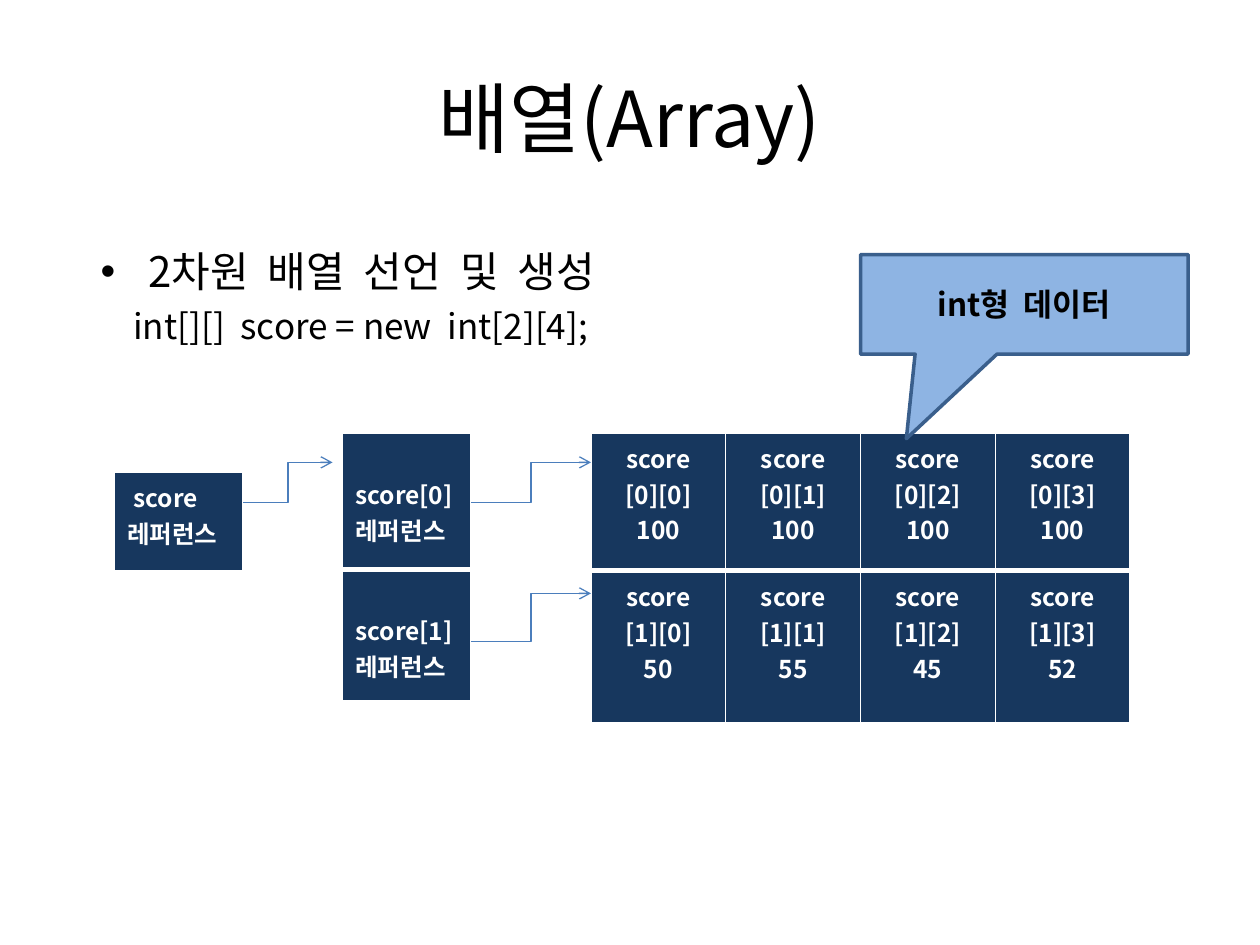
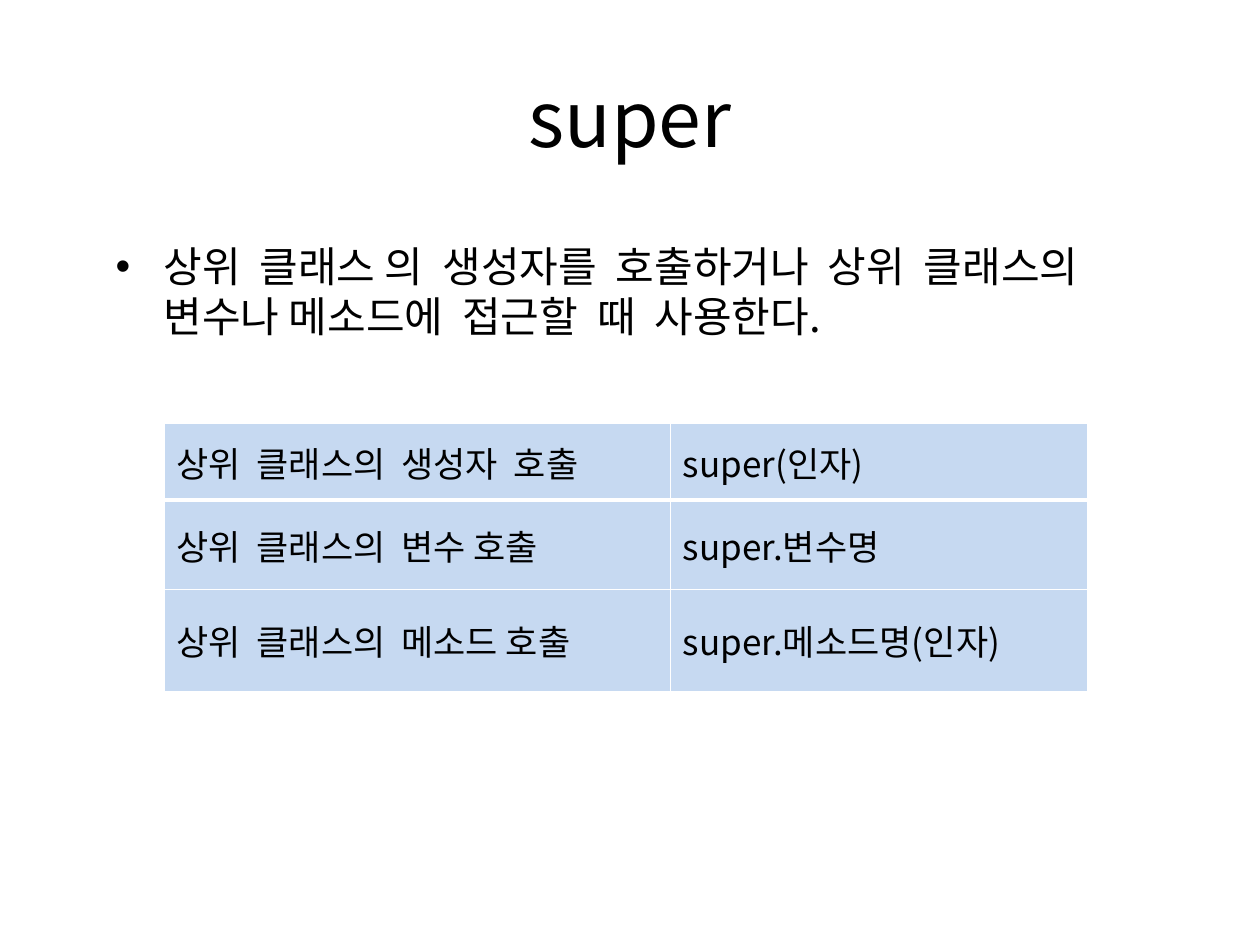
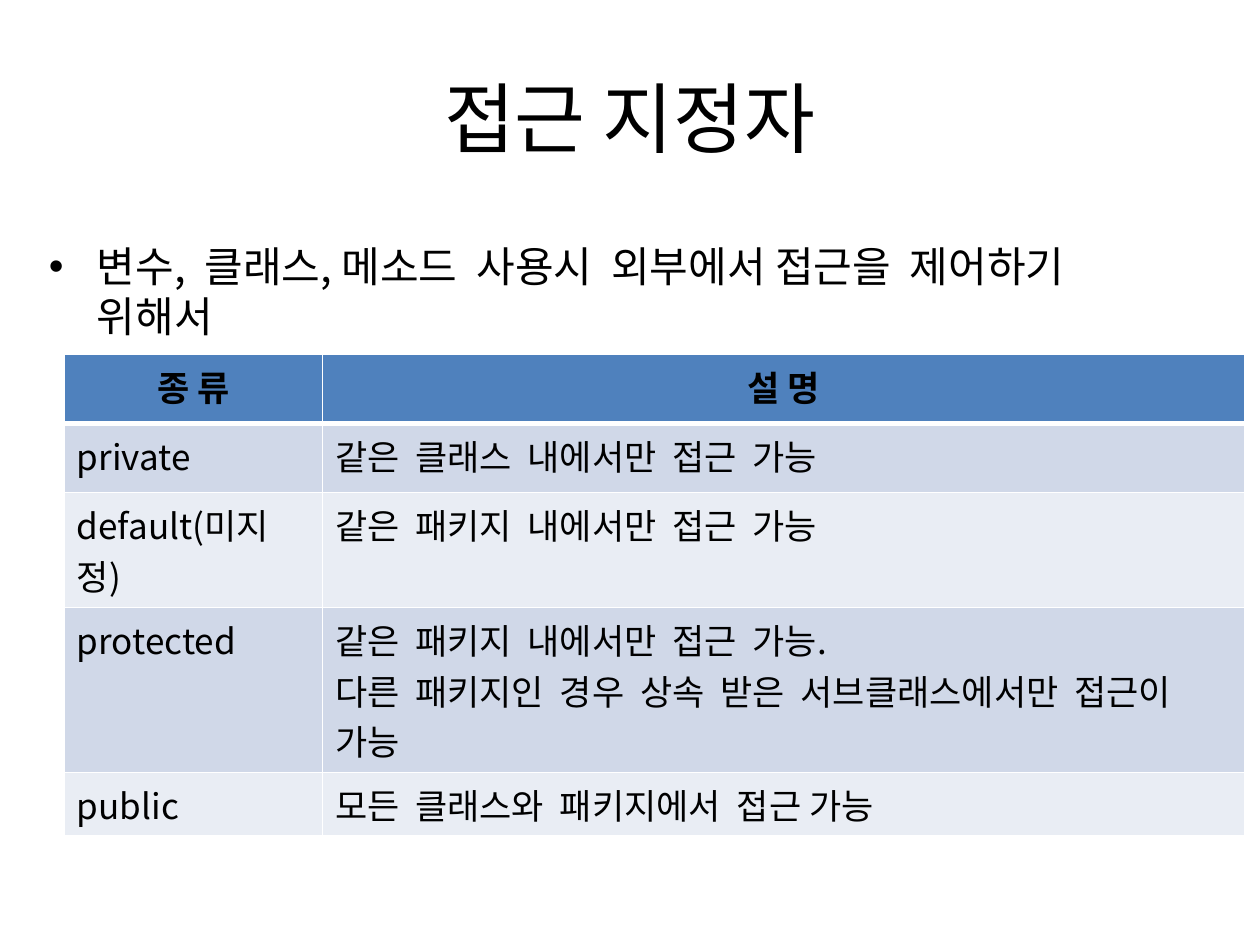
"""Build three Java lecture slides: arrays, super and access modifiers."""
from lxml.etree import SubElement
from pptx import Presentation
from pptx.dml.color import RGBColor as Rgb
from pptx.enum.shapes import MSO_CONNECTOR as Link, MSO_SHAPE as Shape
from pptx.enum.text import MSO_ANCHOR as Anchor, PP_ALIGN as Align
from pptx.oxml.ns import qn
from pptx.util import Inches, Pt

FONT = "Noto Sans CJK KR"
COLORS = {"black": "000000", "white": "FFFFFF", "navy": "17375E", "arrow": "4B7EBC",
          "callout": "8EB4E3", "outline": "3A5F8C", "pale": "C6D9F1",
          "header": "4F81BD", "band": "D0D8E8", "light": "E9EDF4"}

ARRAY_BODY = [
    {"text": "2차원  배열  선언  및  생성", "bullet": True, "indent": 0.57},
    {"text": "int[][]  score = new  int[2][4];", "size": 20, "indent": 0.45},
]
REFERENCE = "레퍼런스"
SCORES = [(3.44, 1.09, [100, 100, 100, 100]), (4.54, 1.21, [50, 55, 45, 52])]
ARROWS = [((1.93, 3.99), (2.64, 3.67)),
          ((3.74, 3.99), (4.69, 3.67)),
          ((3.74, 5.09), (4.69, 4.71))]
CALLOUT = "int형  데이터"

SUPER_BODY = [{"text": "상위  클래스 의  생성자를  호출하거나  상위  클래스의  변수나 메소드에  "
                       "접근할  때  사용한다.", "bullet": True, "indent": 0.77}]
SUPER_CALLS = [["상위  클래스의  생성자  호출", "super(인자)"],
               ["상위  클래스의  변수 호출", "super.변수명"],
               ["상위  클래스의  메소드 호출", "super.메소드명(인자)"]]

ACCESS_BODY = [{"text": "변수,  클래스, 메소드  사용시  외부에서 접근을  제어하기  위해서",
                "bullet": True, "indent": 0.39}]
ACCESS_LEVELS = [
    ["종 류", "설 명"],
    ["private", "같은  클래스  내에서만  접근  가능"],
    ["default(미지정)", "같은  패키지  내에서만  접근  가능"],
    ["protected", "같은  패키지  내에서만  접근  가능.\n"
                  "다른  패키지인  경우  상속  받은  서브클래스에서만  접근이 가능"],
    ["public", "모든  클래스와  패키지에서  접근 가능"],
]


def color(name):
    return Rgb.from_string(COLORS[name])


def apply(target, values):
    for key, value in values.items():
        setattr(target, key, value)


def write(paragraph, text, size, tone="black", bold=False, align=Align.LEFT):
    paragraph.alignment = align
    run = paragraph.add_run()
    run.text = text
    apply(run.font, {"name": FONT, "size": Pt(size), "bold": bold})
    run.font.color.rgb = color(tone)


def write_lines(frame, text, **style):
    for index, line in enumerate(text.split("\n")):
        paragraph = frame.add_paragraph() if index else frame.paragraphs[0]
        write(paragraph, line, **style)


def add_box(slide, at, anchor):
    box = slide.shapes.add_textbox(*map(Inches, at))
    apply(box.text_frame, {"word_wrap": True, "vertical_anchor": anchor})
    return box


def add_body(slide, at, items):
    box = add_box(slide, at, Anchor.TOP)
    for index, item in enumerate(items):
        frame = box.text_frame
        paragraph = frame.add_paragraph() if index else frame.paragraphs[0]
        write(paragraph, item["text"], item.get("size", 24))
        paragraph.space_before = Pt(5)
        props = paragraph._p.get_or_add_pPr()
        props.set("marL", str(Inches(item["indent"])))
        if item.get("bullet"):
            props.set("indent", str(Inches(-0.38)))
            SubElement(props, qn("a:buFont"), typeface="Arial")
            SubElement(props, qn("a:buChar"), char="•")
    return box


def set_borders(cell, top, bottom):
    props = cell._tc.get_or_add_tcPr()
    widths = {"a:lnL": 1, "a:lnR": 1, "a:lnT": top, "a:lnB": bottom}
    for index, (side, width) in enumerate(widths.items()):
        line = props.makeelement(qn(side), {"w": str(Pt(width))})
        SubElement(SubElement(line, qn("a:solidFill")), qn("a:srgbClr"), val=COLORS["white"])
        props.insert(index, line)


def add_grid(slide, at, rows, widths, heights, fills, style, header=None,
             anchor=Anchor.TOP, margin_top=0.05):
    frame = slide.shapes.add_table(len(rows), len(widths), *map(Inches, at))
    table = frame.table
    for column, width in zip(table.columns, widths):
        column.width = Inches(width)
    for r, texts in enumerate(rows):
        table.rows[r].height = Inches(heights[r])
        for c, text in enumerate(texts):
            cell = table.cell(r, c)
            apply(cell, {"vertical_anchor": anchor, "margin_top": Inches(margin_top)})
            cell.fill.solid()
            cell.fill.fore_color.rgb = color(fills[r])
            set_borders(cell, 3 if r == 1 else 1, 1 if r else 3)
            write_lines(cell.text_frame, text, **(header if header and r == 0 else style))
    frame.height = Inches(at[3])
    return table


def add_arrow(slide, start, end):
    arrow = slide.shapes.add_connector(Link.ELBOW, *map(Inches, start + end))
    arrow.line.color.rgb = color("arrow")
    arrow.line.width = Pt(0.75)
    SubElement(arrow.line._get_or_add_ln(), qn("a:tailEnd"), type="arrow")
    SubElement(arrow._element.spPr, qn("a:effectLst"))


def add_slide(title):
    slide = deck.slides.add_slide(deck.slide_layouts[6])
    box = add_box(slide, (0.5, 0.3, 9, 1.25), Anchor.MIDDLE)
    write(box.text_frame.paragraphs[0], title, 44, align=Align.CENTER)
    return slide


def build_array():
    slide = add_slide("배열(Array)")
    add_body(slide, (0.51, 1.9, 9, 4.56), ARRAY_BODY)
    label = {"size": 14, "tone": "white", "bold": True}
    score = add_grid(slide, (0.91, 3.75, 1.02, 0.79), [[f"score\n{REFERENCE}"]],
                     [1.02], [0.79], ["navy"], label)
    first_line = score.cell(0, 0).text_frame.paragraphs[0]
    first_line._p.get_or_add_pPr().set("marL", str(Inches(0.05)))
    add_grid(slide, (2.72, 3.44, 1.02, 2.13), [[f"score[{i}]\n{REFERENCE}"] for i in range(2)],
             [1.02], [1.08, 1.04], ["navy"] * 2, label, margin_top=0.34)
    for i, (top, height, values) in enumerate(SCORES):
        cells = [f"score\n[{i}][{j}]\n{value}" for j, value in enumerate(values)]
        add_grid(slide, (4.69, top, 4.28, height), [cells], [1.07] * 4, [height], ["navy"],
                 {**label, "align": Align.CENTER})
    for start, end in ARROWS:
        add_arrow(slide, start, end)
    callout = slide.shapes.add_shape(Shape.RECTANGULAR_CALLOUT,
                                     *map(Inches, (6.83, 2.02, 2.6, 0.79)))
    callout.adjustments[0], callout.adjustments[1] = -0.36, 1.35
    callout.shadow.inherit = False
    callout.fill.solid()
    callout.fill.fore_color.rgb = color("callout")
    callout.line.color.rgb = color("outline")
    callout.line.width = Pt(2)
    callout.text_frame.vertical_anchor = Anchor.MIDDLE
    write(callout.text_frame.paragraphs[0], CALLOUT, 18, bold=True, align=Align.CENTER)


def build_super():
    slide = add_slide("super")
    body = add_body(slide, (0.43, 1.86, 9, 4.65), SUPER_BODY)
    body.fill.solid()
    body.fill.fore_color.rgb = color("white")
    add_grid(slide, (1.3, 3.36, 7.32, 2.13), SUPER_CALLS, [4.02, 3.31], [0.61, 0.71, 0.81],
             ["pale"] * 3, {"size": 20}, anchor=Anchor.MIDDLE)


def build_access():
    slide = add_slide("접근 지정자")
    add_body(slide, (0.28, 1.86, 9.22, 4.65), ACCESS_BODY)
    add_grid(slide, (0.51, 2.81, 9.37, 3.82), ACCESS_LEVELS, [2.05, 7.32],
             [0.55, 0.55, 0.91, 1.31, 0.5], ["header"] + ["band", "light"] * 2, {"size": 20},
             header={"size": 20, "bold": True, "align": Align.CENTER})


deck = Presentation()
apply(deck, {"slide_width": Inches(10), "slide_height": Inches(7.5)})
for build in (build_array, build_super, build_access):
    build()
deck.save("out.pptx")
